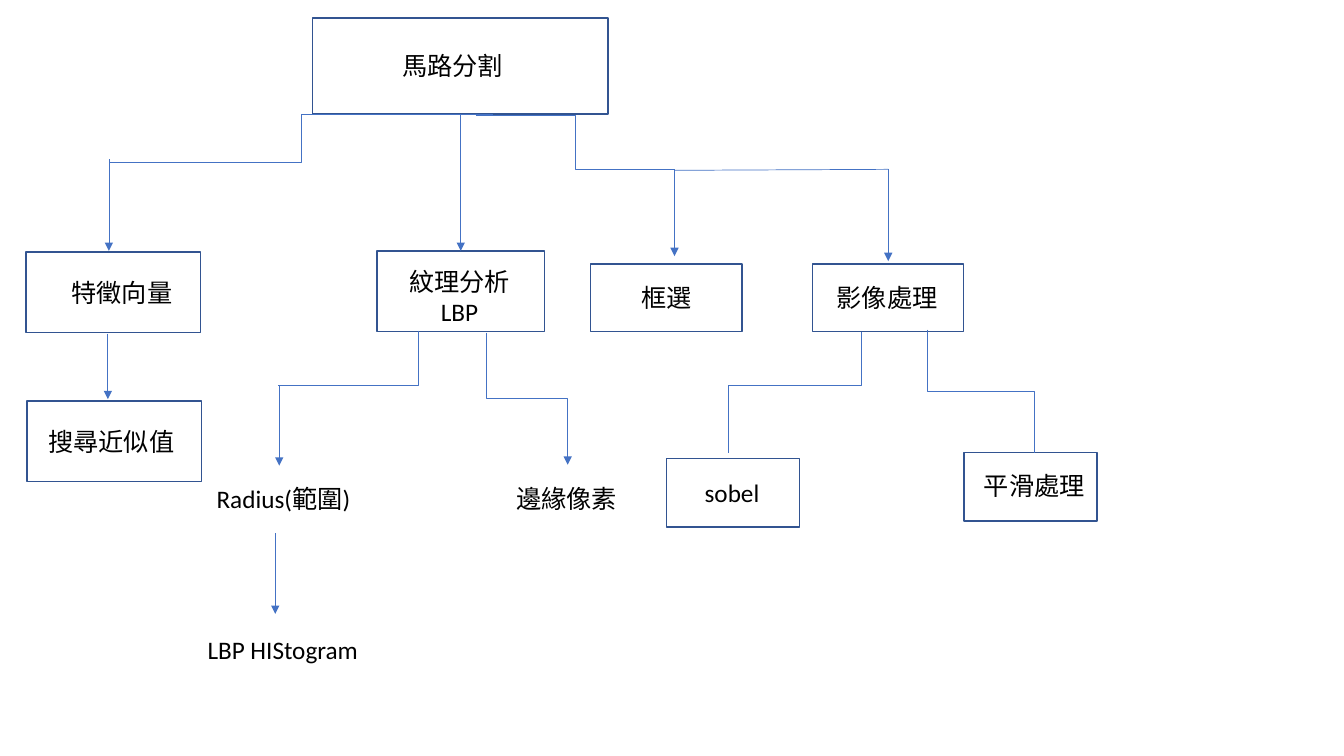
"""Build the road segmentation tree slide."""
from lxml import etree
from pptx import Presentation
from pptx.dml.color import RGBColor
from pptx.enum.shapes import MSO_CONNECTOR, MSO_SHAPE
from pptx.enum.text import MSO_AUTO_SIZE, PP_ALIGN
from pptx.oxml.ns import qn
from pptx.util import Inches, Pt

STRAIGHT, ELBOW = MSO_CONNECTOR.STRAIGHT, MSO_CONNECTOR.ELBOW
RECT = MSO_SHAPE.RECTANGLE
CENTER = PP_ALIGN.CENTER
FIT_SHAPE = MSO_AUTO_SIZE.SHAPE_TO_FIT_TEXT
BORDER = RGBColor(0x32, 0x54, 0x91)
LINK = RGBColor(0x44, 0x72, 0xC4)
BLACK = RGBColor(0, 0, 0)

prs = Presentation()
prs.slide_width, prs.slide_height = Inches(13.33), Inches(7.5)
s = prs.slides.add_slide(prs.slide_layouts[6])


def add_link(kind, x1, y1, x2, y2, arrow=False):
    """Add a thin connector, with an arrowhead at its end if asked."""
    c = s.shapes.add_connector(kind, *map(Inches, (x1, y1, x2, y2)))
    c.line.color.rgb = LINK
    c.line.width = Pt(0.5)
    if arrow:
        etree.SubElement(c.line._get_or_add_ln(), qn("a:tailEnd"), type="triangle")
    etree.SubElement(c._element.spPr, qn("a:effectLst"))
    return c


def add_drop(x1, y1, x2, y2, preset="bentConnector3", arrow=False):
    """Add an elbow that leaves its start vertically."""
    mid_x, mid_y = (x1 + x2) / 2, (y1 + y2) / 2
    half_w, half_h = (y2 - y1) / 2, abs(x2 - x1) / 2
    side = 1 if x2 > x1 else -1
    c = add_link(ELBOW, mid_x + side * half_w, mid_y - half_h,
                 mid_x - side * half_w, mid_y + half_h, arrow)
    sp_pr = c._element.spPr
    sp_pr.find(qn("a:xfrm")).set("rot", str((270 if side > 0 else 90) * 60000))
    sp_pr.find(qn("a:prstGeom")).set("prst", preset)


boxes = [
    (3.1, 0.18, 2.93, 0.95),
    (0.26, 2.5, 1.73, 0.8),
    (3.74, 2.49, 1.66, 0.8),
    (5.86, 2.62, 1.5, 0.67),
    (8.06, 2.62, 1.5, 0.67),
    (6.61, 4.55, 1.32, 0.68),
    (9.56, 4.49, 1.32, 0.68),
    (0.27, 3.98, 1.73, 0.8),
]
for box in boxes:
    sp = s.shapes.add_shape(RECT, *map(Inches, box))
    sp.shadow.inherit = False
    sp.fill.background()
    sp.line.color.rgb = BORDER
    sp.line.width = Pt(1)

for x1, y1, x2, y2 in [(4.89, 1.13, 1.08, 1.61), (4.72, 1.14, 6.69, 1.68)]:
    add_link(ELBOW, x1, y1, x2, y2)

add_link(STRAIGHT, 6.69, 1.69, 8.81, 1.68)
add_link(STRAIGHT, 7.22, 3.82, 7.22, 4.49)

arrows = [
    (1.08, 1.58, 2.49),
    (4.57, 1.13, 2.49),
    (6.69, 1.68, 2.54),
    (8.81, 1.68, 2.59),
    (2.77, 3.82, 4.62),
    (2.73, 5.29, 6.09),
    (1.07, 3.31, 3.96),
]
for x, top, bottom in arrows:
    add_link(STRAIGHT, x, top, x, bottom, arrow=True)

add_drop(4.15, 3.28, 2.76, 3.82, "bentConnector2")
add_drop(8.54, 3.29, 7.22, 3.82, "bentConnector2")
add_drop(4.82, 3.3, 5.63, 4.61, arrow=True)
add_drop(9.2, 3.27, 10.26, 4.49)

labels = [
    ("馬路分割", 3.89, 0.45, 1.21, False),
    ("特徵向量", 0.61, 2.7, 1.21, False),
    ("紋理分析\nLBP", 3.96, 2.59, 1.21, False),
    ("框選", 6.26, 2.75, 0.71, False),
    ("影像處理", 8.2, 2.75, 1.21, False),
    ("搜尋近似值", 0.38, 4.18, 1.46, False),
    ("Radius(範圍)", 2.05, 4.75, 1.54, True),
    ("邊緣像素", 5.02, 4.75, 1.21, False),
    ("sobel", 6.89, 4.69, 0.75, False),
    ("平滑處理", 9.66, 4.62, 1.21, False),
    ("LBP HIStogram", 1.96, 6.24, 1.71, False),
]
for text, left, top, width, wrap in labels:
    height = 0.4 + 0.31 * text.count("\n")
    tf = s.shapes.add_textbox(*map(Inches, (left, top, width, height))).text_frame
    tf.word_wrap = wrap
    tf.auto_size = FIT_SHAPE
    tf.text = text
    for p in tf.paragraphs:
        p.font.name = "Calibri"
        p.font.size = Pt(18)
        p.font.color.rgb = BLACK
    for p in tf.paragraphs[1:]:
        p.alignment = CENTER

prs.save("out.pptx")
